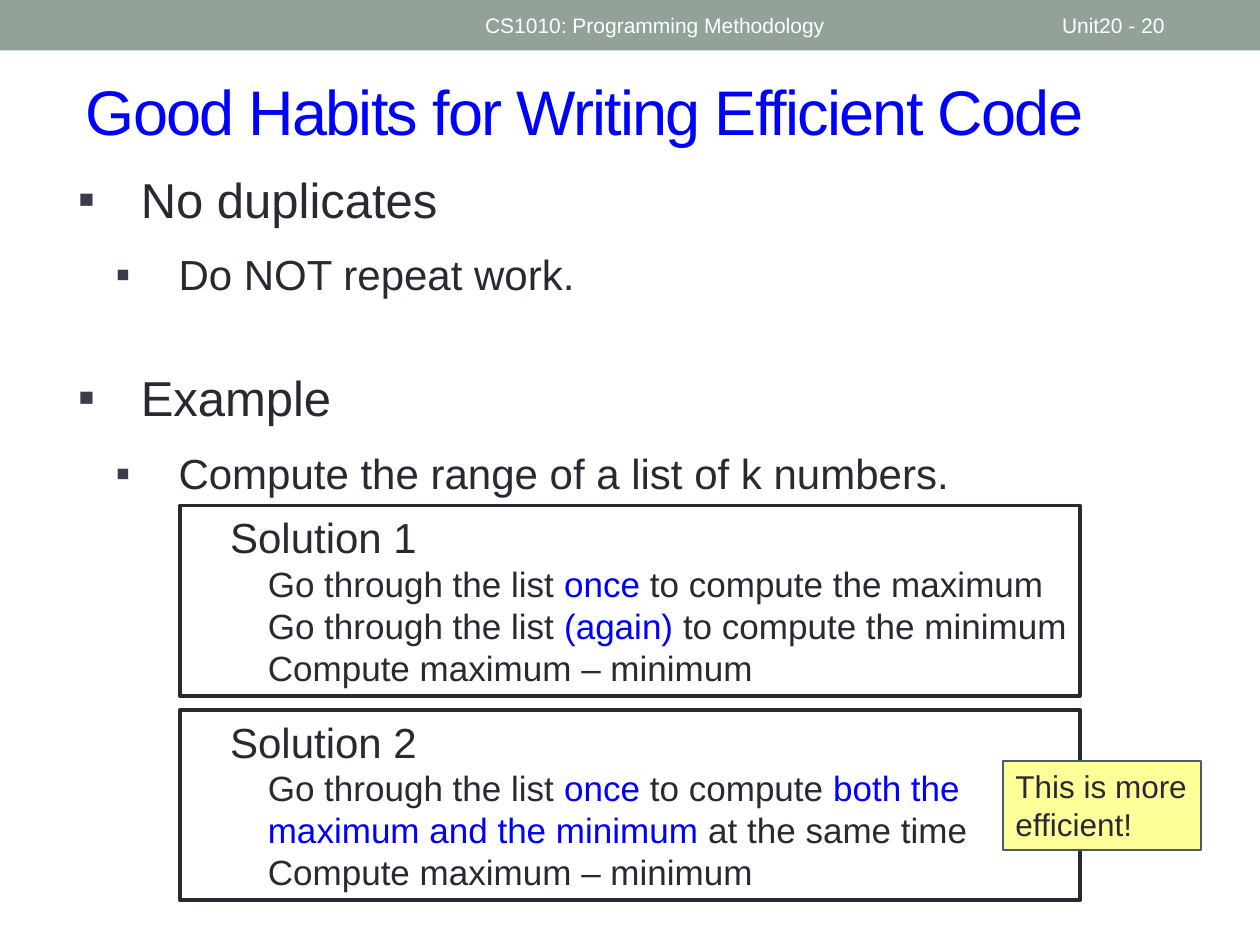
import pptx
import pptx.util
import pptx.dml.color
import pptx.enum.shapes
import pptx.enum.text
import pptx.oxml
import pptx.oxml.ns
import lxml.etree

Cm, Pt = pptx.util.Cm, pptx.util.Pt
INK, BLUE, WHITE = "292934", "0000FF", "FFFFFF"
STEP = "Go through the list "
LAST = [("Compute maximum – minimum", INK)]


def color(code):
    return pptx.dml.color.RGBColor.from_string(code)


def add_rect(slide, box, fill, line=None, width=1):
    kind = pptx.enum.shapes.MSO_SHAPE.RECTANGLE
    rect = slide.shapes.add_shape(kind, *map(Cm, box))
    rect.shadow.inherit = False
    rect.fill.solid()
    rect.fill.fore_color.rgb = color(fill)
    if line:
        rect.line.color.rgb = color(line)
        rect.line.width = Pt(width)
    else:
        rect.line.fill.background()
    return rect


def set_frame(shape, middle=False, right=0.25):
    frame = shape.text_frame
    frame.word_wrap = True
    frame.margin_left, frame.margin_right = Cm(0.25), Cm(right)
    frame.margin_top = frame.margin_bottom = Cm(0.13)
    anchor = pptx.enum.text.MSO_ANCHOR
    frame.vertical_anchor = anchor.MIDDLE if middle else anchor.TOP
    return frame


def add_para(frame, first, runs, size, level=0, left=0):
    para = frame.paragraphs[0] if first else frame.add_paragraph()
    para.level = level
    para.alignment = pptx.enum.text.PP_ALIGN.LEFT
    props = para._p.get_or_add_pPr()
    props.set("marL", str(Cm(left)))
    props.set("indent", "0")
    for text, code in runs:
        run = para.add_run()
        run.text = text
        run.font.name = "Arial"
        run.font.size = Pt(size)
        run.font.color.rgb = color(code)
    return para


def add_bullet(para, hang):
    props = para._p.get_or_add_pPr()
    props.set("indent", str(-Cm(hang)))
    tag = pptx.oxml.ns.qn
    tint = lxml.etree.SubElement(props, tag("a:buClr"))
    lxml.etree.SubElement(tint, tag("a:srgbClr"), val="3B3B4B")
    lxml.etree.SubElement(props, tag("a:buFont"), typeface="Arial")
    lxml.etree.SubElement(props, tag("a:buChar"), char="▪")


def add_label(slide, box, text, size, code):
    frame = set_frame(slide.shapes.add_textbox(*map(Cm, box)), True)
    return add_para(frame, True, [(text, code)], size)


# Band with course name and page number
def add_header(slide, left, top, width, height):
    add_rect(slide, (left, top, width, height), "93A299")
    for shift, span, text in ((9.53, 11.43, "CS1010: Programming Methodology"),
                              (21.16, 2.97, "Unit20 - 20")):
        box = (left + shift, top + 0.05, span, height - 0.1)
        add_label(slide, box, text, 12, WHITE)


# Slide title with tight letters
def add_title(slide, box):
    para = add_label(slide, box, "Good Habits for Writing Efficient Code", 36, BLUE)
    para.runs[0]._r.get_or_add_rPr().set("spc", "-100")


# Two-level bullet list
def add_body(slide, box):
    frame = set_frame(slide.shapes.add_textbox(*map(Cm, box)))
    items = ((0, 0, "No duplicates"), (1, 12, "Do NOT repeat work."),
             (0, 39, "Example"),
             (1, 12, "Compute the range of a list of k numbers."))
    for spot, (level, gap, text) in enumerate(items):
        para = add_para(frame, spot == 0, [(text, INK)], 28 - 4 * level,
                        level, 1.27 + 0.76 * level)
        if gap:
            para.space_before = Pt(gap)
        add_bullet(para, 1.27)


# Framed solution: heading and steps
def add_answer(slide, box, head, steps):
    frame = set_frame(add_rect(slide, box, WHITE, INK, 2.08), right=0.1)
    add_para(frame, True, [(head, INK)], 24, 1, 0.76)
    for runs in steps:
        add_para(frame, False, runs, 20, 2, 1.52)


# Yellow remark
def add_note(slide, box):
    frame = set_frame(add_rect(slide, box, "FFFF99", "4C5A6A"), right=0.1)
    add_para(frame, True, [("This is more efficient!", INK)], 18)


def main():
    deck = pptx.Presentation()
    deck.slide_width, deck.slide_height = Cm(25.4), Cm(19.05)
    slide = deck.slides.add_slide(deck.slide_layouts[6])
    add_header(slide, 0, 0, 25.4, 1.02)
    add_title(slide, (1.48, 1.05, 23.29, 2.34))
    add_body(slide, (1.32, 3.28, 22.07, 14.71))
    answers = (
        ("Solution 1", [
            [(STEP, INK), ("once", BLUE), (" to compute the maximum", INK)],
            [(STEP, INK), ("(again) ", BLUE), ("to compute the minimum", INK)],
            LAST]),
        ("Solution 2", [
            [(STEP, INK), ("once", BLUE), (" to compute ", INK),
             ("both the maximum and the minimum", BLUE),
             (" at the same time", INK)],
            LAST]),
    )
    for spot, (head, steps) in enumerate(answers):
        box = (3.63, 10.19 + 4.12 * spot, 18.14, 3.84)
        add_answer(slide, box, head, steps)
    add_note(slide, (20.22, 15.34, 3.99, 1.8))
    deck.save("out.pptx")


if __name__ == "__main__":
    main()
